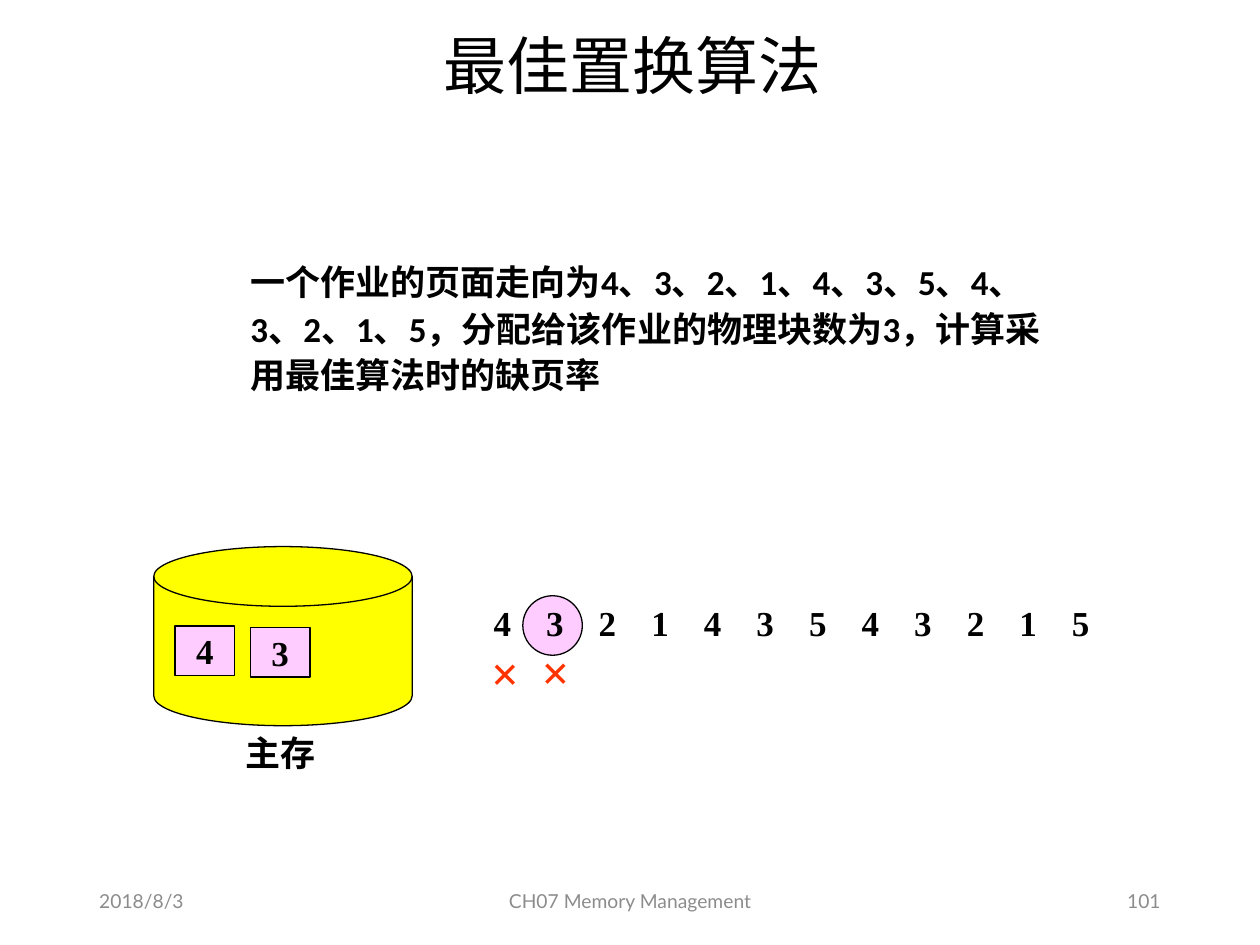
"""Build the slide on the optimal page replacement algorithm."""
from dataclasses import dataclass

from lxml.etree import SubElement
from pptx import Presentation
from pptx.dml.color import RGBColor
from pptx.enum.shapes import MSO_SHAPE
from pptx.enum.text import MSO_ANCHOR, PP_ALIGN
from pptx.oxml.ns import qn
from pptx.util import Cm, Pt


@dataclass(frozen=True)
class Theme:
    black: str = "000000"
    grey: str = "8C8C8C"
    red: str = "FF3300"
    pink: str = "FFCCFF"
    yellow: str = "FFFF00"
    chinese_font: str = "Noto Sans CJK SC"
    body_font: str = "Calibri"
    footer_font: str = "Lato"
    diagram_font: str = "Times New Roman"
    title_size: int = 36
    mark_size: int = 28
    text_size: int = 20
    footer_size: int = 11
    line_width: float = 0.75


THEME = Theme()
PAGES = [4, 3, 2, 1, 4, 3, 5, 4, 3, 2, 1, 5]
PAGE_PITCH = 1.06


def format_paragraph(paragraph, font=THEME.diagram_font, size=THEME.text_size,
                     color=THEME.black, bold=True, align=PP_ALIGN.LEFT):
    paragraph.alignment = align
    for run in paragraph.runs:
        run.font.name = font
        run.font.size = Pt(size)
        run.font.bold = bold
        run.font.color.rgb = RGBColor.from_string(color)
        east_asian = SubElement(run.font._element, qn("a:ea"))
        east_asian.set("typeface", THEME.chinese_font)


def add_text(slide, text, left, top, width, height, anchor=MSO_ANCHOR.TOP, **style):
    text_frame = slide.shapes.add_textbox(
        Cm(left), Cm(top), Cm(width), Cm(height)).text_frame
    text_frame.word_wrap = True
    text_frame.vertical_anchor = anchor
    text_frame.text = text
    paragraph = text_frame.paragraphs[0]
    format_paragraph(paragraph, **style)
    return paragraph


def add_figure(slide, kind, left, top, width, height, fill):
    shape = slide.shapes.add_shape(kind, Cm(left), Cm(top), Cm(width), Cm(height))
    shape.shadow.inherit = False
    shape.fill.solid()
    shape.fill.fore_color.rgb = RGBColor.from_string(fill)
    shape.line.color.rgb = RGBColor.from_string(THEME.black)
    shape.line.width = Pt(THEME.line_width)
    return shape


def add_page_frame(slide, page, left, top):
    shape = add_figure(slide, MSO_SHAPE.RECTANGLE, left, top, 1.2, 1, THEME.pink)
    text_frame = shape.text_frame
    text_frame.word_wrap = False
    text_frame.vertical_anchor = MSO_ANCHOR.MIDDLE
    text_frame.text = str(page)
    format_paragraph(text_frame.paragraphs[0], align=PP_ALIGN.CENTER)


def add_page_sequence(slide, left, top):
    paragraph = add_text(slide, "\t".join(map(str, PAGES)), left, top, 13, 1.09)
    tab_list = SubElement(paragraph._p.get_or_add_pPr(), qn("a:tabLst"))
    for index in range(1, len(PAGES)):
        tab = SubElement(tab_list, qn("a:tab"))
        tab.set("pos", str(Cm(index * PAGE_PITCH)))
        tab.set("algn", "l")


def add_title(slide):
    title = add_text(slide, "最佳置换算法", 1.8, 0.43, 21.9, 1.93, MSO_ANCHOR.MIDDLE,
                     font=THEME.chinese_font, size=THEME.title_size, bold=False,
                     align=PP_ALIGN.CENTER)
    title.line_spacing = 0.9


def add_question(slide):
    sequence = "、".join(map(str, PAGES))
    question = add_text(
        slide,
        f"一个作业的页面走向为{sequence}，分配给该作业的物理块数为3，计算采用最佳算法时的缺页率",
        2.69, 5.05, 18.8, 3.07, font=THEME.body_font)
    question.line_spacing = 1.1
    question._p.get_or_add_pPr().set("marL", str(Cm(2.11)))


def add_memory(slide):
    add_figure(slide, MSO_SHAPE.FLOWCHART_MAGNETIC_DISK, 3.1, 11.02, 5.21, 3.61,
               THEME.yellow)
    add_text(slide, "主存", 4.7, 14.63, 2.21, 1.09)
    add_page_frame(slide, 4, 3.53, 12.62)
    add_page_frame(slide, 3, 5.05, 12.65)


def add_page_faults(slide):
    add_figure(slide, MSO_SHAPE.OVAL, 10.54, 12.01, 1.2, 1.2, THEME.pink)
    add_page_sequence(slide, 9.7, 12.01)
    for left, top in ((9.65, 12.83), (10.67, 12.8)):
        add_text(slide, "×", left, top, 1, 1.45, size=THEME.mark_size, color=THEME.red)


def add_footer(slide):
    for text, left, width, align in (
            ("2018/8/3", 1.75, 5.72, PP_ALIGN.LEFT),
            ("CH07 Memory Management", 8.41, 8.59, PP_ALIGN.CENTER),
            ("101", 17.93, 5.72, PP_ALIGN.RIGHT)):
        add_text(slide, text, left, 17.65, width, 1.02, MSO_ANCHOR.MIDDLE,
                 font=THEME.footer_font, size=THEME.footer_size, color=THEME.grey,
                 bold=False, align=align)


def main():
    presentation = Presentation()
    presentation.slide_width = Cm(25.4)
    presentation.slide_height = Cm(19.05)
    slide = presentation.slides.add_slide(presentation.slide_layouts[6])
    add_title(slide)
    add_question(slide)
    add_memory(slide)
    add_page_faults(slide)
    add_footer(slide)
    presentation.save("out.pptx")


if __name__ == "__main__":
    main()
